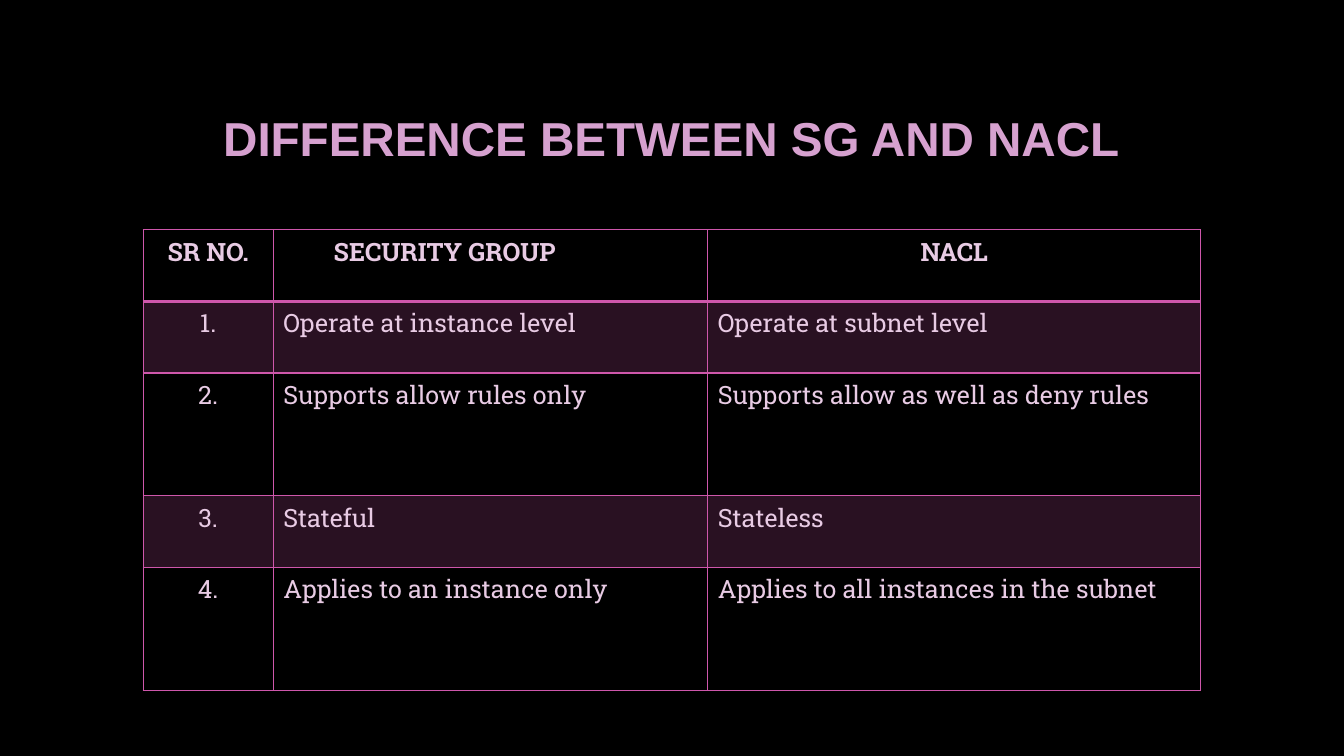
from dataclasses import dataclass

from lxml.etree import SubElement
from pptx import Presentation
from pptx.dml.color import RGBColor
from pptx.enum.text import MSO_ANCHOR, PP_ALIGN
from pptx.oxml import parse_xml
from pptx.oxml.ns import nsdecls, qn
from pptx.util import Emu, Pt

PX = 9144  # one hundred px to the inch


@dataclass(frozen=True)
class Theme:
    background: str = "000000"
    title: str = "D6A1CF"
    text: str = "E8CBE4"
    accent: str = "CE57AB"
    title_font: str = "Arial"
    table_font: str = "Roboto Slab"
    title_size: int = 34
    table_size: int = 18
    band_alpha: int = 20


THEME = Theme()

COLUMN_WIDTHS = [129, 431, 489]
ROW_HEIGHTS = [71, 71, 122, 71, 122]
HEADINGS = ["SR NO.", "SECURITY GROUP", "NACL"]
DIFFERENCES = [
    ("Operate at instance level", "Operate at subnet level"),
    ("Supports allow rules only", "Supports allow as well as deny rules"),
    ("Stateful", "Stateless"),
    ("Applies to an instance only", "Applies to all instances in the subnet"),
]
HEADING_INDENT = 50


def px(length):
    return Emu(length * PX)


def apply_format(target, values):
    for name, value in values.items():
        setattr(target, name, value)


def write_text(frame, text, align, font, color):
    para = frame.paragraphs[0]
    para.alignment = align
    span = para.add_run()
    span.text = text
    apply_format(span.font, font)
    span.font.color.rgb = RGBColor.from_string(color)
    return para


def add_title(page, text):
    box = page.shapes.title
    apply_format(box, {"left": px(100), "top": px(67),
                       "width": px(1132), "height": px(145)})
    apply_format(box.text_frame, {"word_wrap": True,
                                  "vertical_anchor": MSO_ANCHOR.MIDDLE})
    font = {"name": THEME.title_font, "size": Pt(THEME.title_size), "bold": True}
    para = write_text(box.text_frame, text, PP_ALIGN.CENTER, font, THEME.title)
    para.line_spacing = 0.9


def fill_cell(cell, banded):
    if not banded:
        cell.fill.background()
        return
    cell.fill.solid()
    cell.fill.fore_color.rgb = RGBColor.from_string(THEME.accent)
    color = cell._tc.tcPr.find(".//" + qn("a:srgbClr"))
    SubElement(color, qn("a:alpha"), val=str(THEME.band_alpha * 1000))


def add_borders(cell, widths):
    # Borders come before the fill in the cell properties
    properties = cell._tc.get_or_add_tcPr()
    for index, (side, width) in enumerate(widths.items()):
        properties.insert(index, parse_xml(
            f'<a:ln{side} {nsdecls("a")} w="{Pt(width)}"><a:solidFill>'
            f'<a:srgbClr val="{THEME.accent}"/></a:solidFill></a:ln{side}>'))


def add_comparison(page, rows):
    frame = page.shapes.add_table(
        len(rows), len(COLUMN_WIDTHS), px(142), px(228),
        px(sum(COLUMN_WIDTHS)), px(sum(ROW_HEIGHTS)))
    table = frame.table
    apply_format(table, {"first_row": False, "horz_banding": False})
    for column, width in zip(table.columns, COLUMN_WIDTHS):
        column.width = px(width)
    for row, height in zip(table.rows, ROW_HEIGHTS):
        row.height = px(height)

    for row_index, texts in enumerate(rows):
        is_heading = row_index == 0
        font = {"name": THEME.table_font, "size": Pt(THEME.table_size),
                "bold": is_heading}
        for column_index, text in enumerate(texts):
            cell = table.cell(row_index, column_index)
            centred = column_index == 0 or (is_heading and column_index == 2)
            align = PP_ALIGN.CENTER if centred else PP_ALIGN.LEFT
            para = write_text(cell.text_frame, text, align, font, THEME.text)
            if is_heading and not centred:
                para._p.get_or_add_pPr().set("marL", str(px(HEADING_INDENT)))
            fill_cell(cell, banded=row_index % 2 == 1)
            add_borders(cell, {"L": 1, "R": 1,
                               "T": 2 if row_index == 1 else 1,
                               "B": 2 if is_heading else 1})


def main():
    deck = Presentation()
    apply_format(deck, {"slide_width": px(1333), "slide_height": px(750)})
    page = deck.slides.add_slide(deck.slide_layouts.get_by_name("Title Only"))

    # Background
    page.background.fill.solid()
    page.background.fill.fore_color.rgb = RGBColor.from_string(THEME.background)

    # Title and numbered comparison
    add_title(page, "DIFFERENCE BETWEEN SG AND NACL")
    numbered = [(f"{number}.", *pair)
                for number, pair in enumerate(DIFFERENCES, start=1)]
    add_comparison(page, [HEADINGS, *numbered])
    deck.save("out.pptx")


if __name__ == "__main__":
    main()
